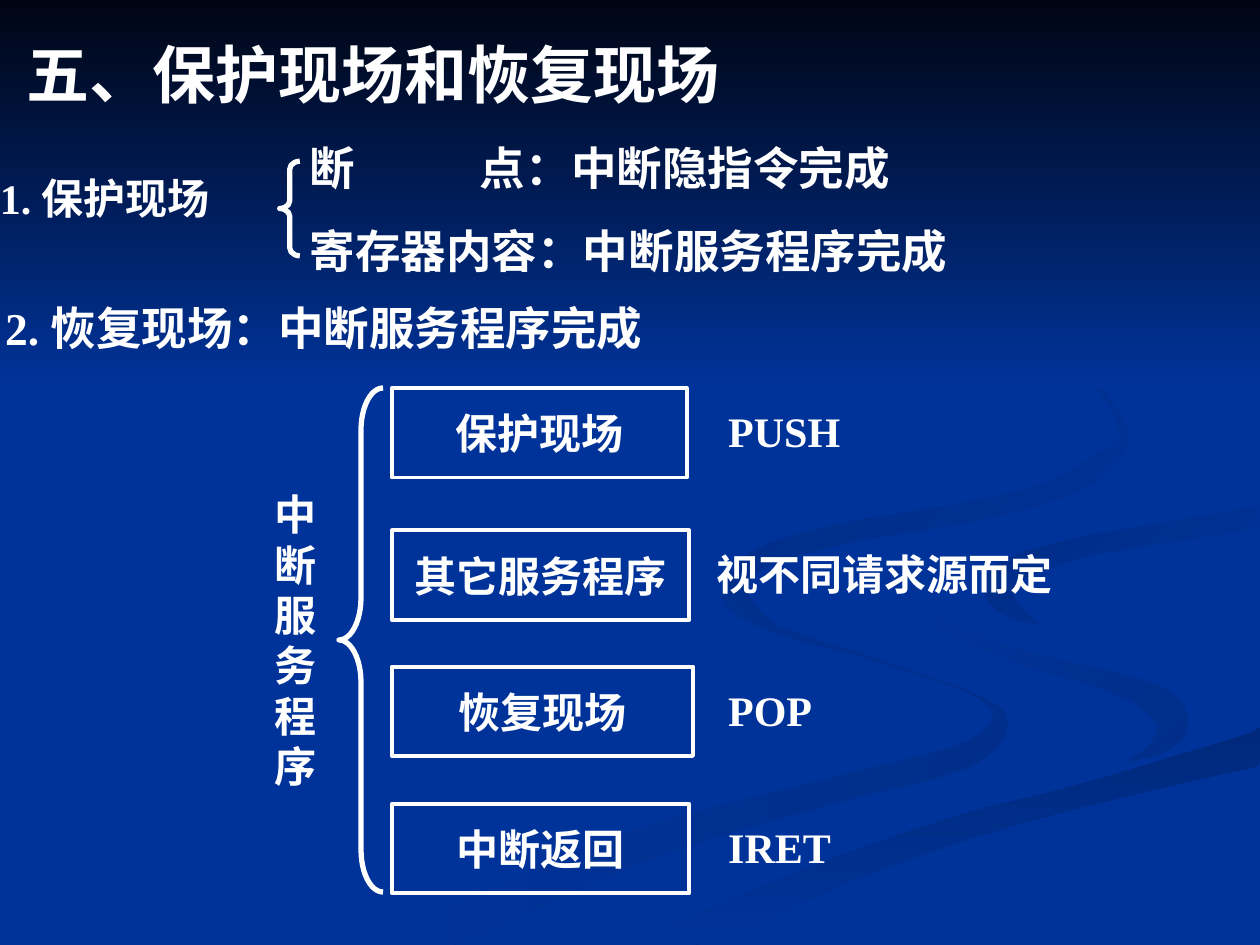
from dataclasses import dataclass
from math import hypot

from lxml import etree
from pptx import Presentation
from pptx.dml.color import RGBColor
from pptx.enum.shapes import MSO_SHAPE
from pptx.enum.text import MSO_ANCHOR, MSO_AUTO_SIZE, PP_ALIGN
from pptx.oxml.ns import qn
from pptx.util import Inches, Pt

RECTANGLE, LEFT_BRACE = MSO_SHAPE.RECTANGLE, MSO_SHAPE.LEFT_BRACE
MIDDLE, TOP = MSO_ANCHOR.MIDDLE, MSO_ANCHOR.TOP
LEFT, CENTER = PP_ALIGN.LEFT, PP_ALIGN.CENTER
NO_AUTOFIT = MSO_AUTO_SIZE.NONE


@dataclass(frozen=True)
class Theme:
    font: str = "Times New Roman"
    ink: RGBColor = RGBColor.from_string("FFFFFF")
    blue: RGBColor = RGBColor.from_string("003399")
    night: RGBColor = RGBColor.from_string("000514")
    shade: RGBColor = RGBColor.from_string("002E8A")
    stroke_shade: RGBColor = RGBColor.from_string("00297C")
    curl_shade: RGBColor = RGBColor.from_string("002C85")
    ribbon_shade: RGBColor = RGBColor.from_string("002B81")
    title: int = 36
    item: int = 26
    label: int = 24
    frame_line: float = 2.25
    brace_line: float = 3


theme = Theme()
PAGE_WIDTH, PAGE_HEIGHT = 10, 7.5
SKY_HEIGHT = 3.08
SPLINE_STEPS = 6


def write(box, text, size=theme.label, align=LEFT, anchor=MIDDLE, side=0, wrap=True, tab=None):
    frame = box.text_frame
    frame.auto_size = NO_AUTOFIT
    frame.word_wrap = wrap
    frame.vertical_anchor = anchor
    frame.margin_left = frame.margin_right = Inches(side)
    frame.margin_top = frame.margin_bottom = Inches(0.05)
    frame.text = text
    for para in frame.paragraphs:
        para.alignment = align
        if tab:
            tabs = etree.SubElement(para._p.get_or_add_pPr(), qn("a:tabLst"))
            etree.SubElement(tabs, qn("a:tab"), pos=str(Inches(tab)), algn="l")
        for span in para.runs:
            span.font.name = theme.font
            span.font.size = Pt(size)
            span.font.bold = True
            span.font.color.rgb = theme.ink


def ribbon_outline(knots):
    padded = [knots[0], *knots, knots[-1]]
    spine = []
    for before, start, end, after in zip(padded, padded[1:], padded[2:], padded[3:]):
        for step in range(SPLINE_STEPS):
            t = step / SPLINE_STEPS
            spine.append([
                b + t * (c - a) / 2 + t**2 * (a - 2.5 * b + 2 * c - d / 2)
                + t**3 * (1.5 * (b - c) + (d - a) / 2)
                for a, b, c, d in zip(before, start, end, after)])
    spine.append(knots[-1])
    one_side, other_side = [], []
    for previous, (x, y, half_width), following in zip(spine[:1] + spine, spine, spine[1:] + spine[-1:]):
        run, rise = following[0] - previous[0], following[1] - previous[1]
        length = hypot(run, rise)
        shift_x, shift_y = -rise / length * half_width, run / length * half_width
        one_side.append((x + shift_x, y + shift_y))
        other_side.append((x - shift_x, y - shift_y))
    return [(min(x, PAGE_WIDTH), min(y, PAGE_HEIGHT)) for x, y in one_side + other_side[::-1]]


deck = Presentation()
deck.slide_width, deck.slide_height = Inches(PAGE_WIDTH), Inches(PAGE_HEIGHT)
page = deck.slides.add_slide(deck.slide_layouts[5])
page.background.fill.solid()
page.background.fill.fore_color.rgb = theme.blue

# Each knot is x, y and half the ribbon's width there.
lower_ribbon = [
    (5.75, 4.59, 0), (5.8, 4.79, 0.04), (6.2, 5.01, 0.03), (6.97, 5.24, 0.01), (7.75, 5.52, 0.01),
    (7.93, 5.75, 0.07), (7.62, 6.01, 0.1), (6.6, 6.28, 0.1), (5, 6.74, 0.13), (3, 7.63, 0.17)]
right_curl = [
    (7.24, 4.64, 0), (7.42, 4.92, 0.04), (8.03, 5.19, 0.05), (8.85, 5.42, 0.08),
    (9.2, 5.58, 0.12), (9.3, 5.76, 0.13), (9.18, 5.93, 0.06), (8.94, 6.05, 0)]
bottom_stroke = [
    (5.03, 7.65, 0.16), (6.49, 6.98, 0.11), (7.64, 6.57, 0.1), (8.64, 6.3, 0.09), (10.1, 5.91, 0.14)]
upper_curl = [
    (10.1, 4.09, 0.09), (9, 4.27, 0.08), (8.55, 4.35, 0.08), (8.07, 4.51, 0.1),
    (7.93, 4.66, 0.12), (8.02, 4.83, 0.07), (8.26, 4.96, 0)]
upper_ribbon = [
    (7.62, 2.33, 0), (8.44, 2.77, 0.01), (8.91, 3.4, 0.03), (8.72, 3.7, 0.09), (8.22, 3.94, 0.08),
    (7.5, 4.1, 0.08), (6.77, 4.22, 0.08), (6.06, 4.42, 0.08), (5.85, 4.66, 0.08),
    (6, 4.88, 0.04), (6.22, 5, 0)]
sky = [(0, 0), (0, SKY_HEIGHT), (PAGE_WIDTH, SKY_HEIGHT), (PAGE_WIDTH, 0)]

for outline, start, end, angle in [
    (ribbon_outline(lower_ribbon), theme.shade, theme.blue, 180),
    (ribbon_outline(right_curl), theme.shade, theme.blue, 135),
    (ribbon_outline(bottom_stroke), theme.stroke_shade, theme.blue, 270),
    (ribbon_outline(upper_curl), theme.blue, theme.curl_shade, 135),
    (ribbon_outline(upper_ribbon), theme.blue, theme.ribbon_shade, 135),
    (sky, theme.night, theme.blue, 270),
]:
    corners = [(Inches(x), Inches(y)) for x, y in outline]
    builder = page.shapes.build_freeform(*corners[0])
    builder.add_line_segments(corners[1:], close=True)
    band = builder.convert_to_shape()
    band.shadow.inherit = False
    band.line.fill.background()
    band.fill.gradient()
    band.fill.gradient_angle = angle
    for stop, shade in zip(band.fill.gradient_stops, (start, end)):
        stop.color.rgb = shade

title = page.shapes.title
title.left, title.top, title.width, title.height = map(Inches, (0.21, 0.29, 7.33, 0.58))
title.element.getparent().append(title.element)
write(title, "五、保护现场和恢复现场", size=theme.title)

item = {"size": theme.item}
labels = [
    ("1. 保护现场", 0, 1.28, 2.43, 0.58, {}),
    ("断\t点：中断隐指令完成", 2.46, 0.99, 6.6, 0.68, {**item, "tab": 1.35}),
    ("寄存器内容：中断服务程序完成", 2.46, 1.59, 6.44, 0.8, item),
    ("2. 恢复现场：中断服务程序完成", 0.04, 2.28, 7.25, 0.64, item),
    ("\n".join("中断服务程序"), 2.08, 3.83, 0.53, 2.5, {"anchor": TOP, "side": 0.1, "wrap": False}),
]
frames = [
    (LEFT_BRACE, 2.22, 1.28, 0.16, 0.75, None),
    (LEFT_BRACE, 2.69, 3.08, 0.35, 4, None),
]
for step, top, width, note, note_left in [
    ("保护现场", 3.08, 2.34, "PUSH", 5.78),
    ("其它服务程序", 4.21, 2.36, "视不同请求源而定", 5.69),
    ("恢复现场", 5.29, 2.39, "POP", 5.78),
    ("中断返回", 6.38, 2.36, "IRET", 5.78),
]:
    frames.append((RECTANGLE, 3.11, top, width, 0.71, step))
    labels.append((note, note_left, top + 0.05, 3.9, 0.58, {}))

for text, left, top, width, height, style in labels:
    box = page.shapes.add_textbox(*map(Inches, (left, top, width, height)))
    write(box, text, **style)

for kind, left, top, width, height, text in frames:
    shape = page.shapes.add_shape(kind, *map(Inches, (left, top, width, height)))
    shape.shadow.inherit = False
    shape.fill.background()
    shape.line.color.rgb = theme.ink
    if text:
        shape.line.width = Pt(theme.frame_line)
        write(shape, text, align=CENTER)
    else:
        shape.line.width = Pt(theme.brace_line)
        shape.adjustments[0] = height / 12 / width

deck.save("out.pptx")
